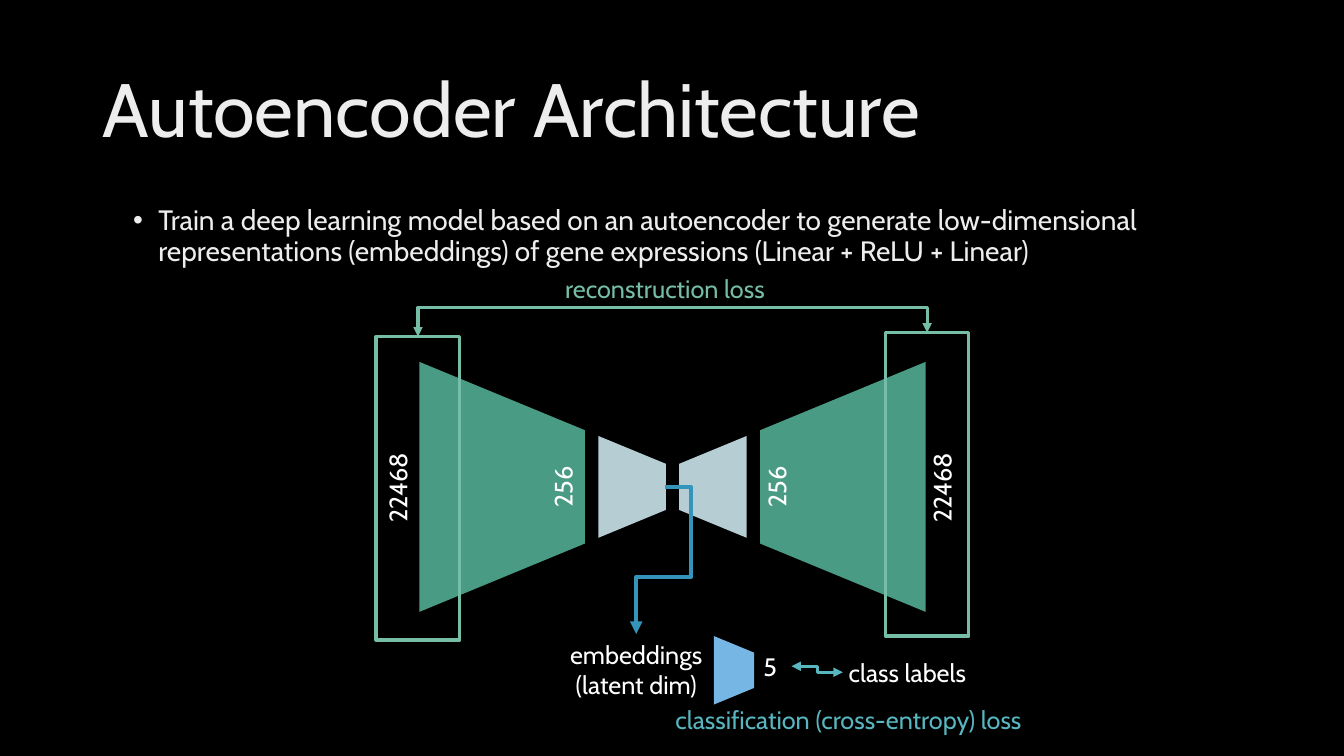
from dataclasses import dataclass

from lxml import etree
from pptx import Presentation
from pptx.dml.color import RGBColor
from pptx.enum import shapes, text
from pptx.oxml import ns
from pptx.util import Inches, Pt


@dataclass(frozen=True)
class Theme:
    font: str = "Cabin"
    title_size: int = 54
    body_size: int = 20
    label_size: int = 18
    background: str = "000000"
    heading: str = "EDEDED"
    label: str = "FFFFFF"
    outer_layer: str = "4A9B83"
    inner_layer: str = "B5CDD3"
    classifier: str = "75B6E5"
    embedding: str = "3494BA"
    reconstruction: str = "75BDA7"
    classification: str = "58B6C0"


THEME = Theme()
TAPER = 0.413


@dataclass(frozen=True)
class Box:
    left: float
    top: float
    width: float
    height: float

    def inner(self, dx, dy, width, height):
        return Box(self.left + dx, self.top + dy, width, height)

    def centred(self, dx, dy, width, height):
        return self.inner(dx - width / 2, dy - height / 2, width, height)

    def lengths(self):
        return [Inches(v) for v in (self.left, self.top, self.width, self.height)]


def rgb(value):
    return RGBColor.from_string(value)


def style_runs(frame, size, color):
    for paragraph in frame.paragraphs:
        for run in paragraph.runs:
            run.font.name = THEME.font
            run.font.size = Pt(size)
            run.font.color.rgb = rgb(color)


def add_label(slide, box, words, color=THEME.label, rotation=0,
              align=text.PP_ALIGN.CENTER):
    label = slide.shapes.add_textbox(*box.lengths())
    label.rotation = rotation
    frame = label.text_frame
    frame.word_wrap = True
    frame.text = words
    for paragraph in frame.paragraphs:
        paragraph.alignment = align
    style_runs(frame, THEME.label_size, color)


def add_layer(parent, box, color, rotation):
    layer = parent.shapes.add_shape(shapes.MSO_SHAPE.TRAPEZOID, *box.lengths())
    layer.adjustments[0] = TAPER
    layer.rotation = rotation
    layer.shadow.inherit = False
    layer.fill.solid()
    layer.fill.fore_color.rgb = rgb(color)
    layer.line.fill.background()


def add_elbow(slide, start, end, color, width, heads, bends=(), rotation=0):
    """Elbow arrow; bends are its adjustments as shares of its extent."""
    elbow = slide.shapes.add_connector(
        shapes.MSO_CONNECTOR.ELBOW, *[Inches(v) for v in (*start, *end)])
    elbow.line.color.rgb = rgb(color)
    elbow.line.width = Pt(width)
    properties = elbow._element.spPr
    line = properties.find(ns.qn("a:ln"))
    for head in heads:
        etree.SubElement(line, ns.qn(f"a:{head}"), type="triangle")
    etree.SubElement(properties, ns.qn("a:effectLst"))
    if rotation:
        properties.find(ns.qn("a:xfrm")).set("rot", str(rotation * 60000))
    if bends:
        geometry = properties.find(ns.qn("a:prstGeom"))
        geometry.set("prst", f"bentConnector{len(bends) + 2}")
        guides = geometry.find(ns.qn("a:avLst"))
        for number, bend in enumerate(bends, 1):
            etree.SubElement(guides, ns.qn("a:gd"), name=f"adj{number}",
                             fmla=f"val {round(bend * 100000)}")


def fill_placeholder(holder, box, words, size):
    holder.left, holder.top, holder.width, holder.height = box.lengths()
    frame = holder.text_frame
    frame.auto_size = text.MSO_AUTO_SIZE.NONE
    frame.word_wrap = True
    frame.text = words
    paragraph = frame.paragraphs[0]
    paragraph.alignment = text.PP_ALIGN.LEFT
    paragraph.line_spacing = 0.9
    paragraph.space_before = Pt(0)
    style_runs(frame, size, THEME.heading)
    return frame


def add_title(slide, box):
    frame = fill_placeholder(slide.shapes.title, box,
                             "Autoencoder Architecture", THEME.title_size)
    frame.vertical_anchor = text.MSO_ANCHOR.MIDDLE


def add_summary(slide, box):
    frame = fill_placeholder(
        slide.placeholders[1], box,
        "Train a deep learning model based on an autoencoder to generate "
        "low-dimensional representations (embeddings) of gene expressions "
        "(Linear + ReLU + Linear)", THEME.body_size)
    properties = frame.paragraphs[0]._p.get_or_add_pPr()
    properties.set("marL", str(Inches(0.25)))
    properties.set("indent", str(-Inches(0.25)))
    etree.SubElement(properties, ns.qn("a:buFont"), typeface="Arial")
    etree.SubElement(properties, ns.qn("a:buChar"), char="•")


def add_autoencoder(slide, box):
    axis, middle = box.width / 2, 2.17

    # Encoder and its mirrored decoder
    network = slide.shapes.add_group_shape()
    for side, rotation in ((-1, 90), (1, 270)):
        for offset, span, depth, color in (
                (1.69, 2.48, 1.64, THEME.outer_layer),
                (0.4, 1.01, 0.67, THEME.inner_layer)):
            layer = box.centred(axis + side * offset, middle, span, depth)
            add_layer(network, layer, color, rotation)

    # Layer sizes
    for words, center, align in (
            ("22468", 0.21, text.PP_ALIGN.LEFT), ("256", 1.85, text.PP_ALIGN.CENTER),
            ("256", 3.97, text.PP_ALIGN.CENTER), ("22468", 5.61, text.PP_ALIGN.LEFT)):
        add_label(slide, box.centred(center, middle, 0.91, 0.4), words,
                  rotation=270, align=align)

    # Frames around input and output
    frame_width, rise = 0.83, 0.04
    input_top = 0.68
    for dx, dy in ((0, input_top), (box.width - frame_width, input_top - rise)):
        frame = slide.shapes.add_shape(
            shapes.MSO_SHAPE.RECTANGLE, *box.inner(dx, dy, frame_width, 3.01).lengths())
        frame.shadow.inherit = False
        frame.fill.background()
        frame.line.color.rgb = rgb(THEME.reconstruction)
        frame.line.width = Pt(2.25)

    # Reconstruction loss, laid out upright and turned a quarter
    reach = box.width - frame_width
    center_x = box.left + axis
    center_y = box.top + input_top - rise / 2
    add_elbow(slide, (center_x + rise / 2, center_y + reach / 2),
              (center_x - rise / 2, center_y - reach / 2),
              THEME.reconstruction, 2.25, ("headEnd", "tailEnd"), (7.25,), 90)
    add_label(slide, box.inner(0.94, 0, 3.85, 0.4), "reconstruction loss",
              THEME.reconstruction)


def add_classifier(slide, box):
    # Bottleneck to embeddings
    add_elbow(slide, (box.left + 1.08, box.top), (box.left + 0.79, box.top + 1.46),
              THEME.embedding, 3, ("tailEnd",), (-0.862, 0.615))

    # Classifier and its labels
    add_layer(slide, box.inner(1.42, 1.62, 0.68, 0.4), THEME.classifier, 90)
    for words, place, color in (
            ("embeddings\n(latent dim)", (0, 1.46, 1.58, 0.71), THEME.label),
            ("5", (1.92, 1.58, 0.4, 0.4), THEME.label),
            ("class labels", (2.66, 1.64, 1.64, 0.4), THEME.label),
            ("classification (cross-entropy) loss", (0.97, 2.11, 3.85, 0.4),
             THEME.classification)):
        add_label(slide, box.inner(*place), words, color)

    # Classification loss
    add_elbow(slide, (box.left + 2.33, box.top + 1.78),
              (box.left + 2.84, box.top + 1.84),
              THEME.classification, 2.25, ("headEnd", "tailEnd"))


def main():
    deck = Presentation()
    deck.slide_width, deck.slide_height = Inches(13.33), Inches(7.5)
    slide = deck.slides.add_slide(deck.slide_layouts[1])
    slide.background.fill.solid()
    slide.background.fill.fore_color.rgb = rgb(THEME.background)
    add_title(slide, Box(0.92, 0.4, 11.5, 1.45))
    add_summary(slide, Box(1.22, 2, 11.19, 4.76))
    add_autoencoder(slide, Box(3.73, 2.66, 5.88, 3.69))
    add_classifier(slide, Box(5.52, 4.83, 4.82, 2.51))
    deck.save("out.pptx")


if __name__ == "__main__":
    main()
